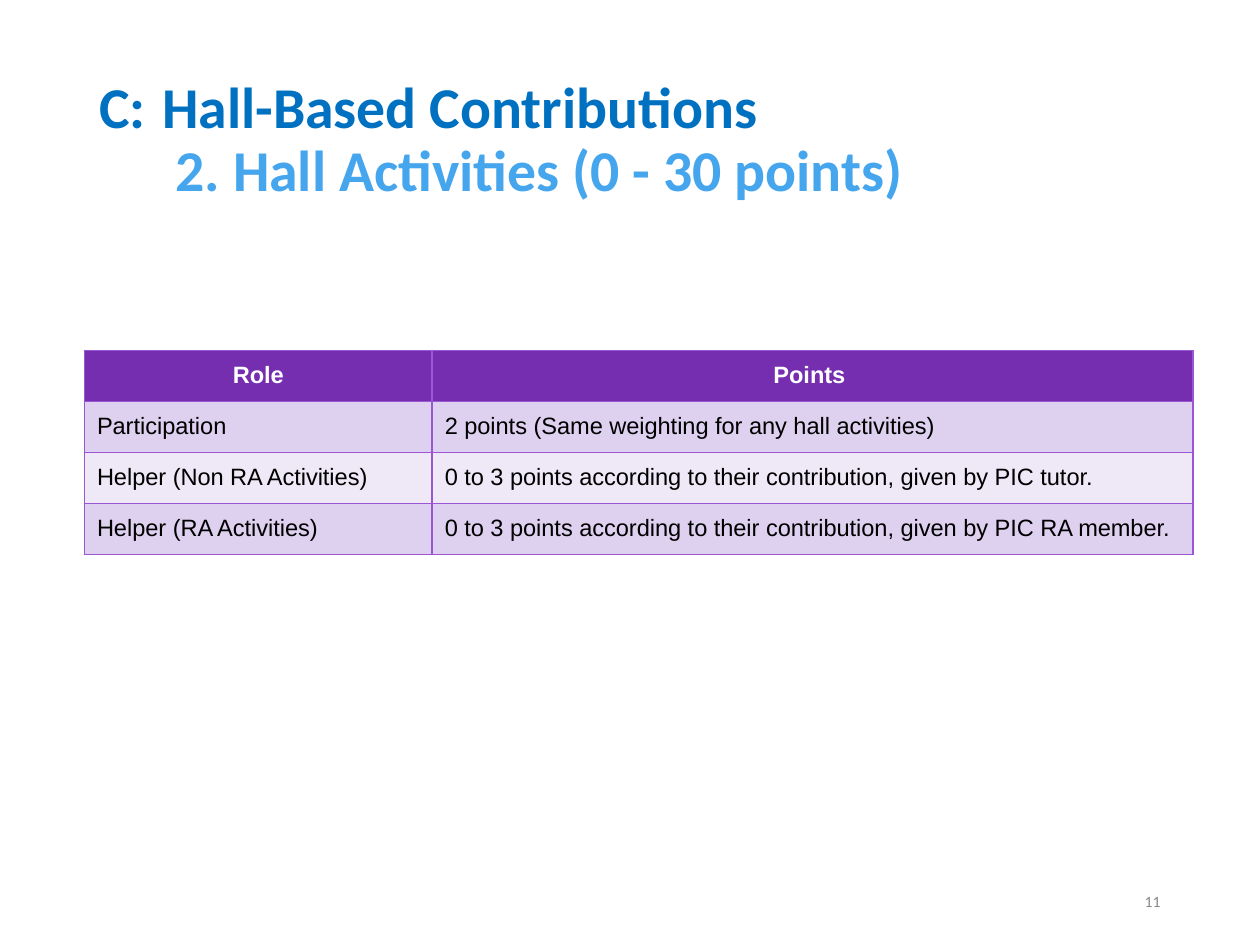
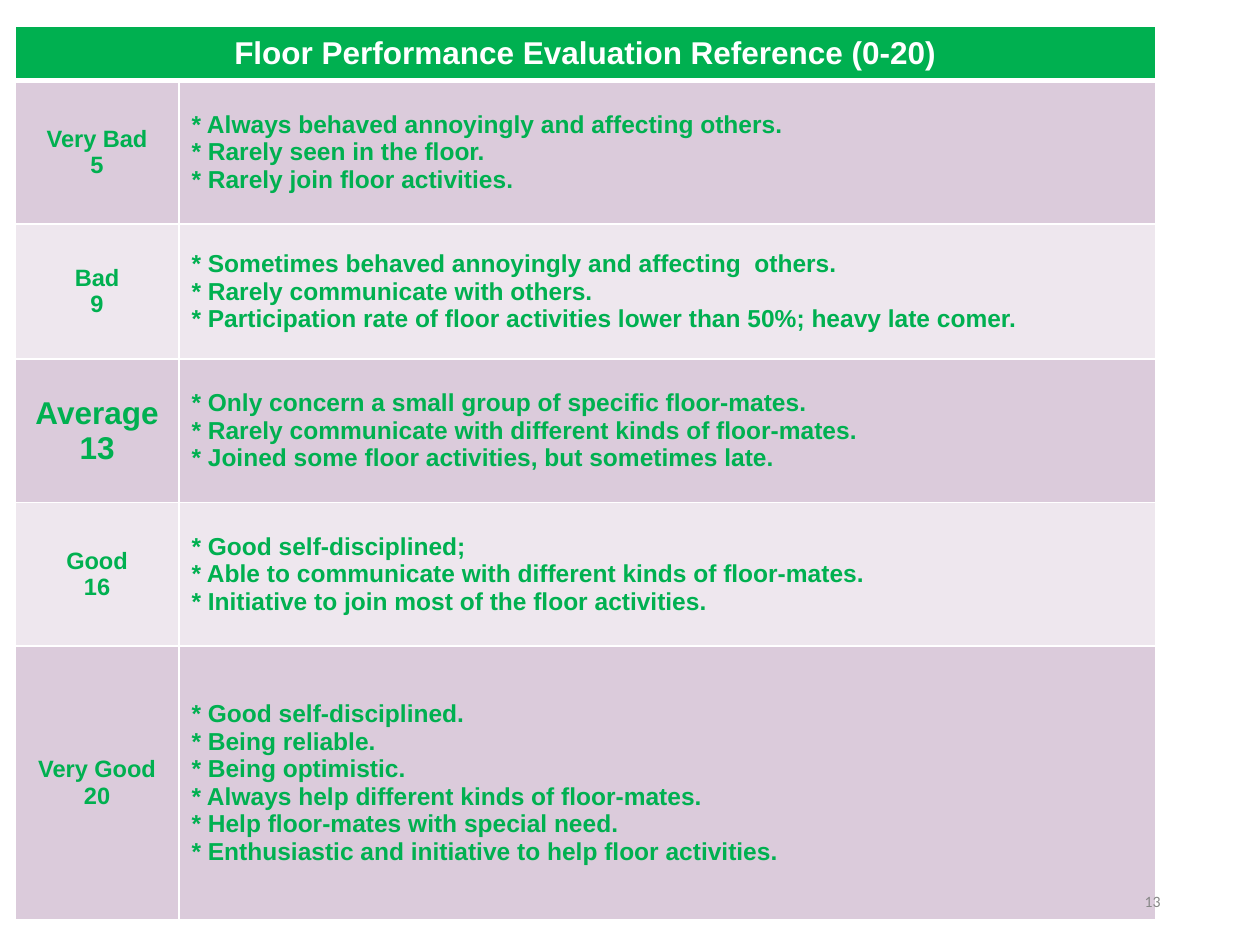
from lxml import etree
from pptx import Presentation
from pptx.dml.color import RGBColor
from pptx.enum.text import MSO_ANCHOR, PP_ALIGN
from pptx.oxml.ns import qn
from pptx.util import Inches, Pt

LEFT, CENTER, RIGHT = PP_ALIGN.LEFT, PP_ALIGN.CENTER, PP_ALIGN.RIGHT
MIDDLE = MSO_ANCHOR.MIDDLE

WHITE = RGBColor(0xFF, 0xFF, 0xFF)
BLACK = RGBColor(0x00, 0x00, 0x00)
GRAY = RGBColor(0x88, 0x88, 0x88)
BLUE = RGBColor(0x00, 0x70, 0xC0)
SKY = RGBColor(0x45, 0xA5, 0xED)
PURPLE = RGBColor(0x76, 0x2E, 0xB1)
VIOLET = RGBColor(0x9B, 0x57, 0xD3)
LILAC = RGBColor(0xDE, 0xD0, 0xEF)
PALE_LILAC = RGBColor(0xEF, 0xE9, 0xF7)
GREEN = RGBColor(0x00, 0xB0, 0x50)
MAUVE = RGBColor(0xDB, 0xCB, 0xDB)
PALE_MAUVE = RGBColor(0xEE, 0xE7, 0xEE)

WIDTH, HEIGHT = Inches(10), Inches(7.5)
MARGIN = 0.069  # share of the slide width

TITLE = {"name": "Calibri", "size": Pt(33), "bold": True}
PAGE_NUMBER = {"name": "Calibri", "size": Pt(9)}
CELL = {"name": "Arial", "size": Pt(13.5), "bold": False}
CELL_BOLD = {**CELL, "bold": True}
LARGE = {**CELL_BOLD, "size": Pt(18)}
CRITERIA = {**CELL_BOLD, "size": Pt(14)}

ROLES = [
    ("Participation", "2 points (Same weighting for any hall activities)"),
    ("Helper (Non RA Activities)",
     "0 to 3 points according to their contribution, given by PIC tutor."),
    ("Helper (RA Activities)",
     "0 to 3 points according to their contribution, given by PIC RA member."),
]

# grade, score, grade style, row height in inches, criteria
GRADES = [
    ("Very Bad", "5", CELL_BOLD, 1.14, [
        "Always behaved annoyingly and affecting others.",
        "Rarely seen in the floor.",
        "Rarely join floor activities."]),
    ("Bad", "9", CELL_BOLD, 1.07, [
        "Sometimes behaved annoyingly and affecting  others.",
        "Rarely communicate with others.",
        "Participation rate of floor activities lower than 50%; heavy late comer."]),
    ("Average", "13", LARGE, 1.14, [
        "Only concern a small group of specific floor-mates.",
        "Rarely communicate with different kinds of floor-mates.",
        "Joined some floor activities, but sometimes late."]),
    ("Good", "16", CELL_BOLD, 1.14, [
        "Good self-disciplined;",
        "Able to communicate with different kinds of floor-mates.",
        "Initiative to join most of the floor activities."]),
    ("Very Good", "20", CELL_BOLD, 2.17, [
        "Good self-disciplined.",
        "Being reliable.",
        "Being optimistic.",
        "Always help different kinds of floor-mates.",
        "Help floor-mates with special need.",
        "Enthusiastic and initiative to help floor activities."]),
]


def add_run(p, text, style, color):
    r = p.add_run()
    r.text = text
    for name, value in style.items():
        setattr(r.font, name, value)
    r.font.color.rgb = color


def add_text_box(s, x, y, w, h):
    """Add a text box placed by shares of the slide; return its first paragraph."""
    box = s.shapes.add_textbox(int(WIDTH * x), int(HEIGHT * y),
                               int(WIDTH * w), int(HEIGHT * h))
    tf = box.text_frame
    tf.word_wrap = True
    tf.vertical_anchor = MIDDLE
    return tf.paragraphs[0]


def add_title(s, letter, section, topic):
    p = add_text_box(s, MARGIN, 0.053, 1 - 2 * MARGIN, 0.193)
    p.line_spacing = 0.9
    add_run(p, f"{letter}\t{section}", TITLE, BLUE)
    p.add_line_break()
    add_run(p, f"\t {topic}", TITLE, SKY)


def add_page_number(s, number):
    p = add_text_box(s, 1 - MARGIN - 0.225, 0.927, 0.225, 0.053)
    p.alignment = RIGHT
    add_run(p, str(number), PAGE_NUMBER, GRAY)


def add_grid(s, x, y, cols, rows):
    """Add a table with column widths and row heights in inches."""
    table = s.shapes.add_table(len(rows), len(cols), Inches(x), Inches(y),
                               Inches(sum(cols)), Inches(sum(rows))).table
    table.horz_banding = False
    for column, width in zip(table.columns, cols):
        column.width = Inches(width)
    for row, height in zip(table.rows, rows):
        row.height = Inches(height)
    return table


def set_borders(cell, color, top=1, bottom=1):
    tc_pr = cell._tc.get_or_add_tcPr()
    for side, width in (("L", 1), ("R", 1), ("T", top), ("B", bottom)):
        ln = etree.SubElement(tc_pr, qn(f"a:ln{side}"), w=str(Pt(width)))
        fill = etree.SubElement(ln, qn("a:solidFill"))
        etree.SubElement(fill, qn("a:srgbClr"), val=str(color))


def fill_cell(cell, lines, style, color, fill, border, align=LEFT, **widths):
    set_borders(cell, border, **widths)
    cell.fill.solid()
    cell.fill.fore_color.rgb = fill
    cell.vertical_anchor = MIDDLE
    tf = cell.text_frame
    for i, line in enumerate(lines):
        p = tf.paragraphs[0] if i == 0 else tf.add_paragraph()
        p.alignment = align
        add_run(p, line, style, color)


def add_roles_table(s):
    table = add_grid(s, 0.67, 2.78, [2.76, 6.04], [0.405] * (len(ROLES) + 1))
    for col, heading in enumerate(("Role", "Points ")):
        fill_cell(table.cell(0, col), [heading], CELL_BOLD, WHITE, PURPLE, VIOLET, CENTER)
    for row, texts in enumerate(ROLES, 1):
        band = LILAC if row % 2 else PALE_LILAC
        for col, text in enumerate(texts):
            fill_cell(table.cell(row, col), [text], CELL, BLACK, band, VIOLET)


def add_grades_table(s):
    heights = [0.43] + [grade[3] for grade in GRADES]
    table = add_grid(s, 0.12, 0.21, [1.3, 7.75], heights)
    heading = table.cell(0, 0)
    heading.merge(table.cell(0, 1))
    fill_cell(heading, ["Floor Performance Evaluation Reference (0-20)"],
              LARGE, WHITE, GREEN, WHITE, CENTER, bottom=3)
    set_borders(table.cell(0, 1), WHITE, bottom=3)
    for row, (grade, score, style, _, criteria) in enumerate(GRADES, 1):
        band = MAUVE if row % 2 else PALE_MAUVE
        top = 3 if row == 1 else 1
        fill_cell(table.cell(row, 0), [grade, score], style, GREEN, band, WHITE,
                  CENTER, top=top)
        fill_cell(table.cell(row, 1), [f"* {text}" for text in criteria],
                  CRITERIA, GREEN, band, WHITE, top=top)


def main():
    prs = Presentation()
    prs.slide_width, prs.slide_height = WIDTH, HEIGHT
    blank = prs.slide_layouts[6]

    s = prs.slides.add_slide(blank)
    add_title(s, "C:", "Hall-Based Contributions", "2. Hall Activities (0 - 30 points)")
    add_page_number(s, 11)
    add_roles_table(s)

    s = prs.slides.add_slide(blank)
    add_grades_table(s)
    add_page_number(s, 13)

    prs.save("out.pptx")


if __name__ == "__main__":
    main()
